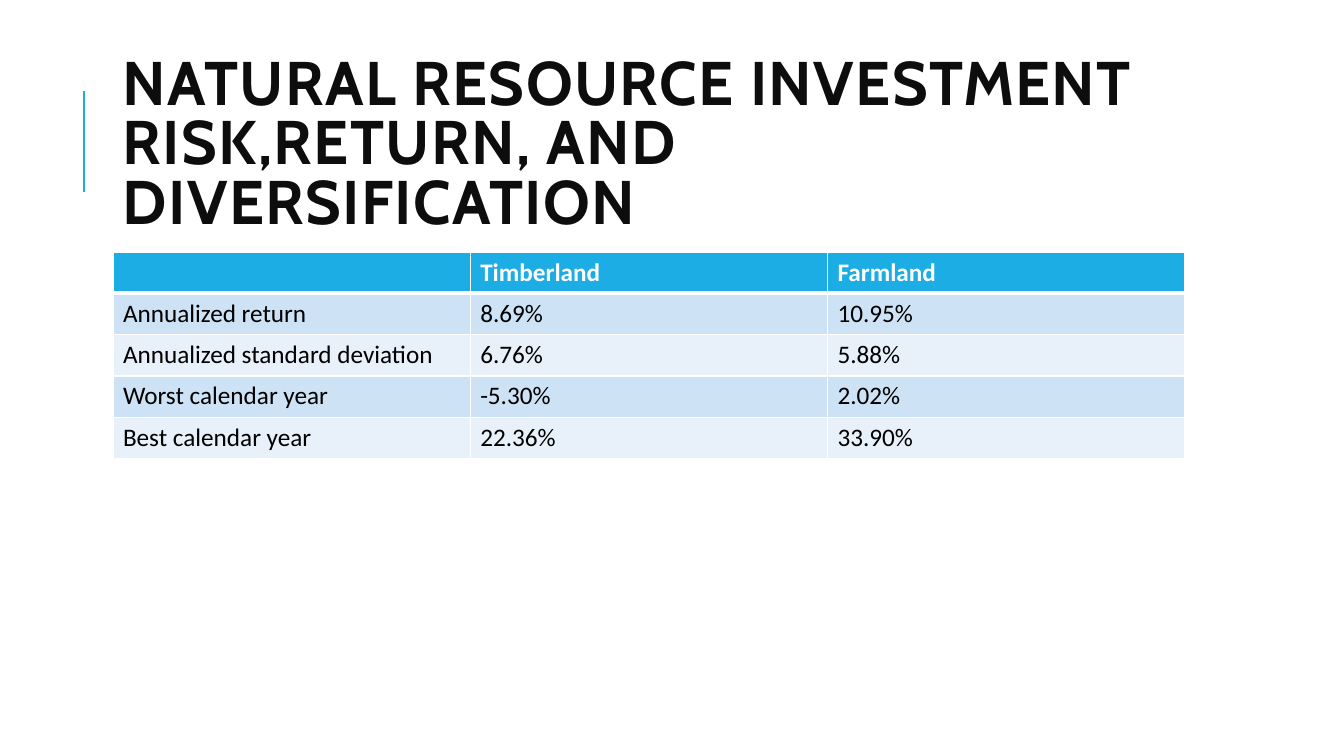
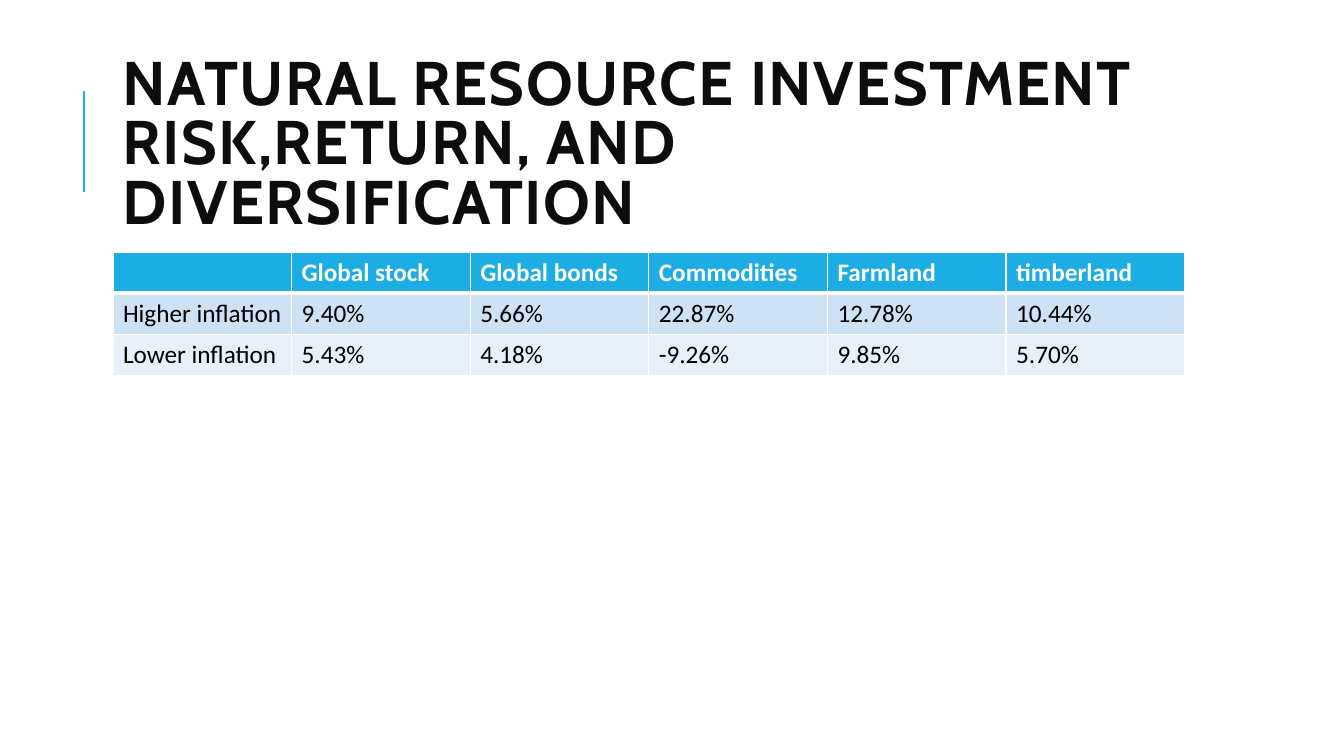
from dataclasses import dataclass

from lxml import etree
from pptx import Presentation, util as u
from pptx.dml.color import RGBColor
from pptx.enum import shapes, text
from pptx.oxml.ns import qn


@dataclass(frozen=True)
class Theme:
    accent: str = "1CADE4"
    heading: str = "0D0D0D"
    body: str = "000000"
    white: str = "FFFFFF"
    bands: tuple = ("CDE3F5", "E8F1FA")
    heading_font: str = "Cabin"
    body_font: str = "Calibri"
    heading_size: int = 44
    body_size: int = 18
    rule_width: float = 1.5
    grid_width: int = 1
    header_edge: int = 3


THEME = Theme()
TITLE = "NATURAL RESOURCE INVESTMENT RISK,RETURN, AND DIVERSIFICATION"
TITLE_BOX = (1.12, 0.64, 10.63, 1.64)
TABLE_BOX = (1.12, 2.5, 10.63)
ROW_HEIGHT = 0.41

RISK_RETURN = [
    ("", "Timberland", "Farmland"),
    ("Annualized return", "8.69%", "10.95%"),
    ("Annualized standard deviation", "6.76%", "5.88%"),
    ("Worst calendar year", "-5.30%", "2.02%"),
    ("Best calendar year", "22.36%", "33.90%"),
]
INFLATION = [
    ("", "Global stock", "Global bonds", "Commodities", "Farmland", "timberland"),
    ("Higher inflation", "9.40%", "5.66%", "22.87%", "12.78%", "10.44%"),
    ("Lower inflation", "5.43%", "4.18%", "-9.26%", "9.85%", "5.70%"),
]


def style_font(font, color, **values):
    for name, value in values.items():
        setattr(font, name, value)
    font.color.rgb = RGBColor.from_string(color)


def add_heading(slide, box):
    left, top, width, height = box
    rule_x = u.Inches(left - 0.29)
    middle = top + height / 2 - 0.06
    rule = slide.shapes.add_connector(
        shapes.MSO_CONNECTOR.STRAIGHT,
        rule_x, u.Inches(middle + 0.5), rule_x, u.Inches(middle - 0.5))
    rule.line.color.rgb = RGBColor.from_string(THEME.accent)
    rule.line.width = u.Pt(THEME.rule_width)
    etree.SubElement(rule._element.spPr, qn("a:effectLst"))

    heading = slide.shapes.add_textbox(*map(u.Inches, box)).text_frame
    heading.word_wrap = True
    heading.vertical_anchor = text.MSO_ANCHOR.MIDDLE
    paragraph = heading.paragraphs[0]
    paragraph.line_spacing = 0.8
    run = paragraph.add_run()
    run.text = TITLE
    style_font(run.font, THEME.heading, name=THEME.heading_font,
               size=u.Pt(THEME.heading_size), bold=True)
    run._r.get_or_add_rPr().set("spc", "100")


def set_borders(cell, widths):
    properties = cell._tc.get_or_add_tcPr()
    for side, points in widths.items():
        edge = etree.SubElement(properties, qn(f"a:ln{side}"), w=str(u.Pt(points)))
        fill = etree.SubElement(edge, qn("a:solidFill"))
        etree.SubElement(fill, qn("a:srgbClr"), val=THEME.white)


def add_figures(slide, box, rows):
    left, top, width = box
    columns = len(rows[0])
    figures = slide.shapes.add_table(
        len(rows), columns, u.Inches(left), u.Inches(top),
        u.Inches(width), u.Inches(ROW_HEIGHT * len(rows))).table
    for column in figures.columns:
        column.width = u.Inches(width / columns)
    for r, values in enumerate(rows):
        figures.rows[r].height = u.Inches(ROW_HEIGHT)
        header = r == 0
        fill = THEME.accent if header else THEME.bands[(r - 1) % 2]
        widths = dict.fromkeys("LRTB", THEME.grid_width)
        if header:
            widths["B"] = THEME.header_edge
        elif r == 1:
            widths["T"] = THEME.header_edge
        for c, value in enumerate(values):
            cell = figures.cell(r, c)
            set_borders(cell, widths)
            cell.fill.solid()
            cell.fill.fore_color.rgb = RGBColor.from_string(fill)
            cell.text = value
            style_font(cell.text_frame.paragraphs[0].font,
                       THEME.white if header else THEME.body,
                       name=THEME.body_font, size=u.Pt(THEME.body_size), bold=header)


def add_table_slide(deck, rows):
    slide = deck.slides.add_slide(deck.slide_layouts[6])
    add_heading(slide, TITLE_BOX)
    add_figures(slide, TABLE_BOX, rows)


def main():
    deck = Presentation()
    deck.slide_width = u.Inches(13.33)
    deck.slide_height = u.Inches(7.5)
    for rows in (RISK_RETURN, INFLATION):
        add_table_slide(deck, rows)
    deck.save("out.pptx")


if __name__ == "__main__":
    main()
